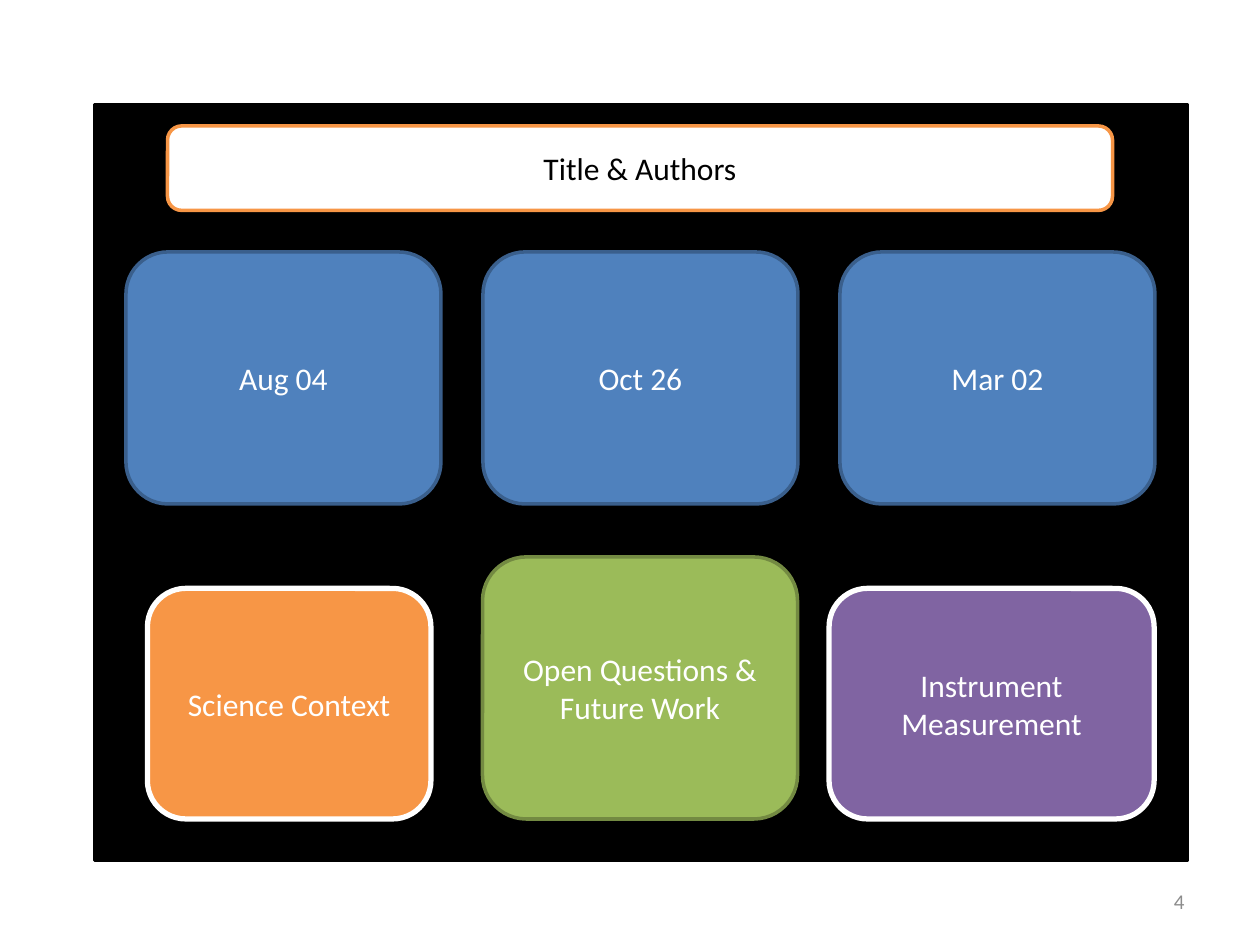
"""Build a poster layout slide with a title bar and six topic boxes."""
from pptx import Presentation
from pptx.dml.color import RGBColor as RGB
from pptx.enum.shapes import MSO_SHAPE as Shape
from pptx.enum.text import MSO_ANCHOR as Anchor, PP_ALIGN as Align
from pptx.util import Inches, Pt

HUES = {
    "black": "000000", "white": "FFFFFF", "gray": "8C8C8C",
    "blue": "4F81BD", "navy": "3A5F8C", "orange": "F79646",
    "green": "9BBB59", "olive": "738A42", "purple": "8064A2",
}


def write(shape, text, size=18, hue="white", align=Align.CENTER):
    frame = shape.text_frame
    frame.word_wrap = True
    frame.vertical_anchor = Anchor.MIDDLE
    para = frame.paragraphs[0]
    para.alignment = align
    run = para.add_run()
    run.text = text
    run.font.name = "Calibri"
    run.font.size = Pt(size)
    run.font.color.rgb = RGB.from_string(HUES[hue])


def draw(kind, spot, fill, edge, width=2):
    shape = slide.shapes.add_shape(kind, *map(Inches, spot))
    shape.shadow.inherit = False
    shape.fill.solid()
    shape.fill.fore_color.rgb = RGB.from_string(HUES[fill])
    shape.line.color.rgb = RGB.from_string(HUES[edge])
    shape.line.width = Pt(width)
    return shape


deck = Presentation()
deck.slide_width, deck.slide_height = Inches(10), Inches(7.5)
slide = deck.slides.add_slide(deck.slide_layouts[6])

number = slide.shapes.add_textbox(*map(Inches, (7.17, 6.95, 2.33, 0.4)))
write(number, "4", size=12, hue="gray", align=Align.RIGHT)

draw(Shape.RECTANGLE, (0.75, 0.83, 8.67, 6), "black", "black")

topics = [
    ("Science Context", (1.17, 4.67, 2.25, 1.83), "orange", "white", 3),
    ("Instrument Measurement", (6.58, 4.67, 2.58, 1.83), "purple", "white", 3),
    ("Open Questions & Future Work", (3.83, 4.42, 2.5, 2.08), "green", "olive", 2),
]
for text, spot, fill, edge, width in topics:
    write(draw(Shape.ROUNDED_RECTANGLE, spot, fill, edge, width), text)

for col, date in enumerate(["Aug 04", "Oct 26", "Mar 02"]):
    spot = (1 + col * 17 / 6, 2, 2.5, 2)
    write(draw(Shape.ROUNDED_RECTANGLE, spot, "blue", "navy"), date)

title = draw(Shape.ROUNDED_RECTANGLE, (1.33, 1, 7.5, 0.67), "white", "orange")
write(title, "Title & Authors", hue="black")

deck.save("out.pptx")
